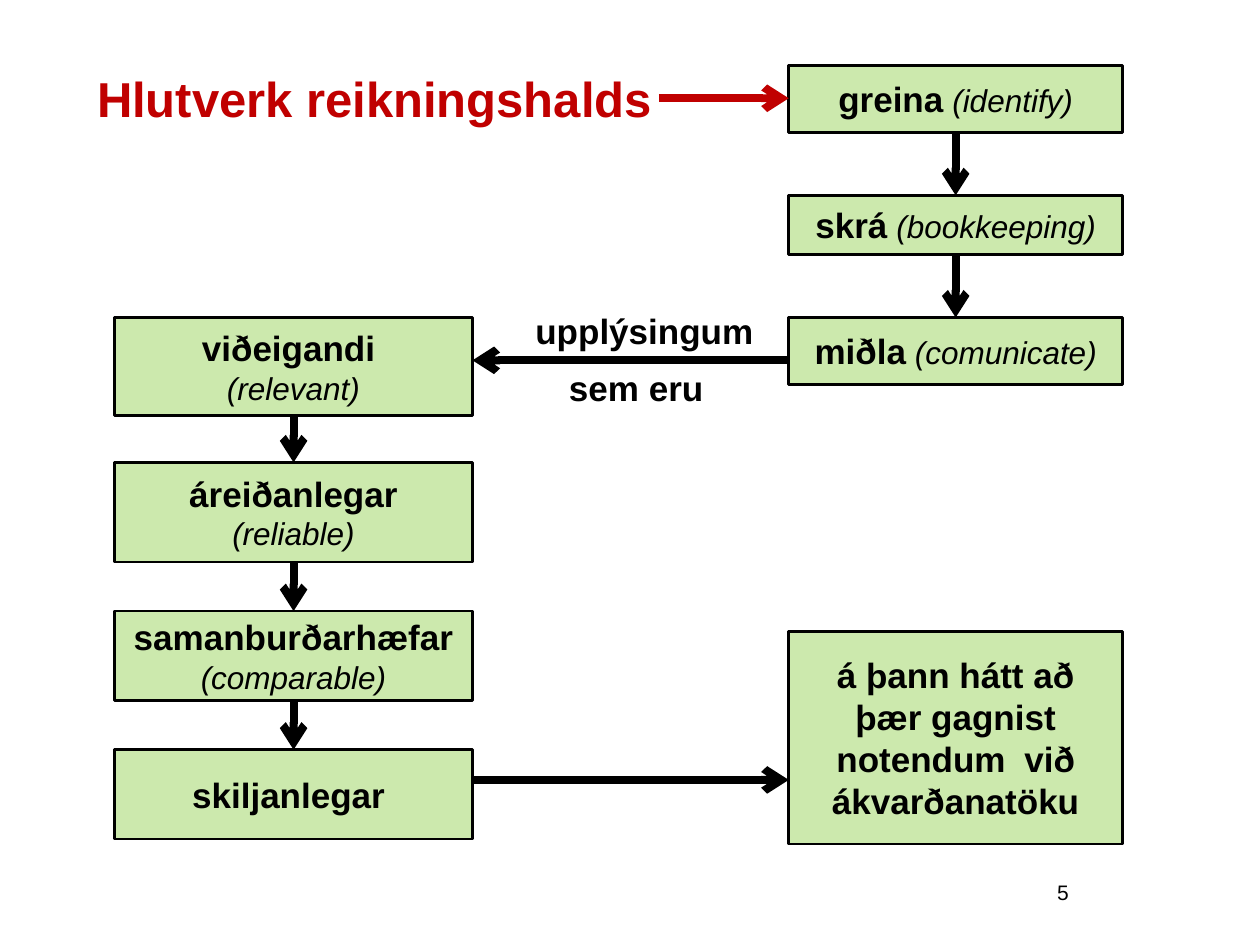
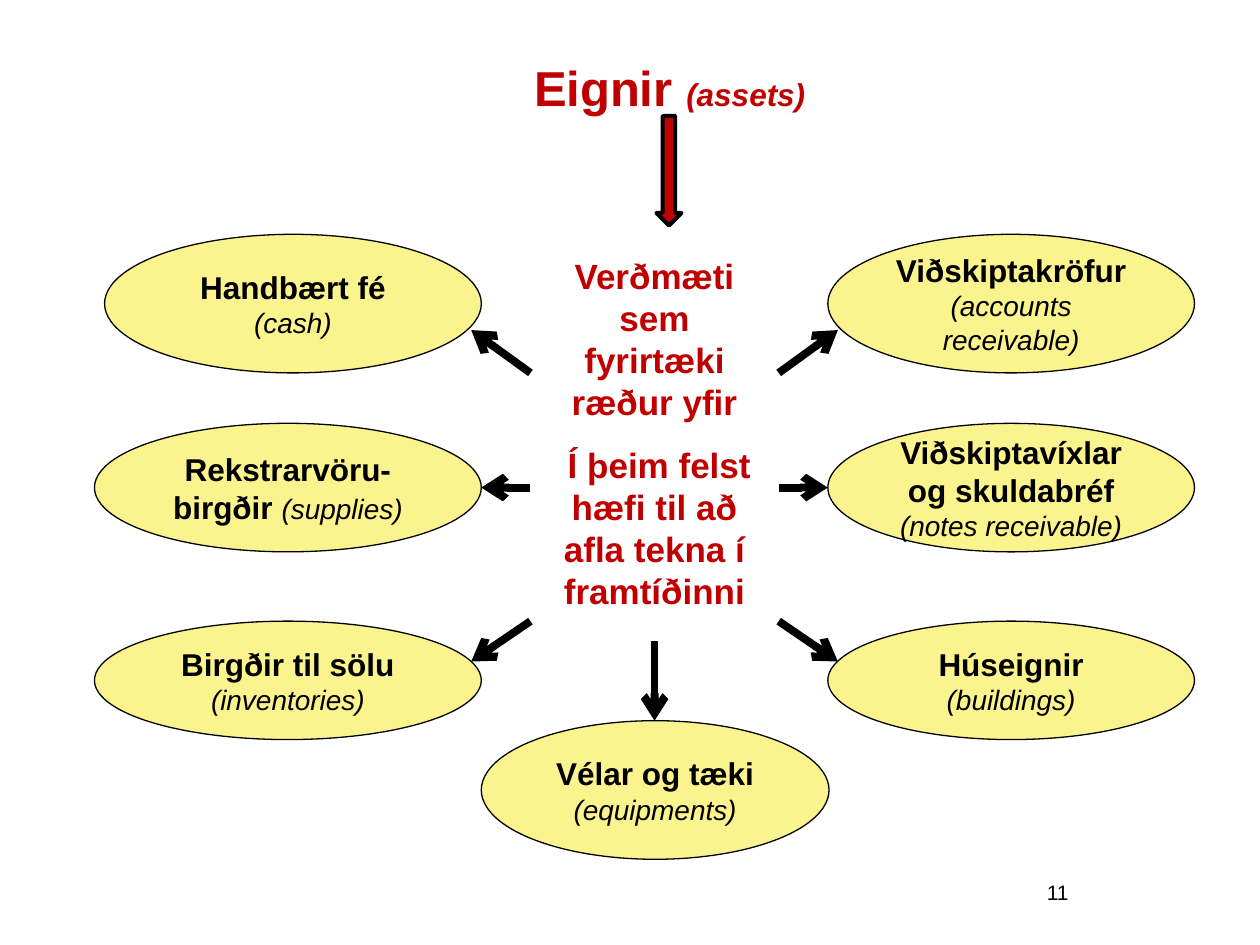
from lxml.etree import SubElement
from pptx import Presentation
from pptx.dml.color import RGBColor
from pptx.enum.shapes import MSO_CONNECTOR, MSO_SHAPE
from pptx.enum.text import MSO_ANCHOR, MSO_AUTO_SIZE, PP_ALIGN
from pptx.oxml.ns import qn
from pptx.util import Inches, Pt

BLACK = RGBColor(0x00, 0x00, 0x00)
RED = RGBColor(0xC0, 0x00, 0x00)
GREEN = RGBColor(0xCC, 0xE9, 0xAD)
YELLOW = RGBColor(0xFB, 0xF3, 0x8D)
FONT = "Arial"

# Every run is (text, size, style); style holds "b" for bold and "i" for italic.
ROLE_TITLE = [("Hlutverk reikningshalds ", 28, "b")]
ASSETS_TITLE = [("Eignir ", 28, "b"), ("(assets)", 18, "bi")]

# Each step is (top, height, paragraphs).
TASK_LEFT, TASK_WIDTH = 6.26, 2.65
TASKS = [
    (0.52, 0.53, [[("greina", 20, "b"), (" ", 18, ""), ("(identify)", 18, "i")]]),
    (1.55, 0.47, [[("skrá", 20, "b"), (" ", 18, ""), ("(bookkeeping)", 18, "i")]]),
    (2.52, 0.53, [[("miðla", 20, "b"), (" ", 18, ""), ("(comunicate)", 18, "i")]]),
]
QUALITY_LEFT, QUALITY_WIDTH = 0.91, 2.84
QUALITIES = [
    (2.52, 0.78, [[("viðeigandi ", 20, "b")], [("(relevant)", 18, "i")]]),
    (3.67, 0.79, [[("áreiðanlegar ", 20, "b"), ("(reliable)", 18, "i")]]),
    (4.85, 0.71, [[("samanburðarhæfar ", 20, "b"), ("(comparable)", 18, "i")]]),
    (5.95, 0.71, [[("skiljanlegar ", 20, "b")]]),
]
PURPOSE = (5.01, 1.69, [[("á þann hátt að þær gagnist notendum ", 20, "b"),
                         (" ", 18, "i"), ("við ákvarðanatöku", 20, "b")]])
LINK_WORDS = [("upplýsingum", (4.13, 2.41, 1.97, 0.44)),
              ("sem eru", (4.13, 2.86, 1.84, 0.44))]
TITLE_ARROW_Y, LINK_Y, PURPOSE_ARROW_Y = 0.78, 2.86, 6.19

DEFINITION_BOX = (4.21, 1.78, 1.97, 3.31)
DEFINITION = [[("Verðmæti sem fyrirtæki ræður yfir", 20, "b")],
              [(" Í þeim felst hæfi til að afla tekna í framtíðinni", 20, "b")]]
ASSETS = [
    ((6.57, 1.86, 2.91, 1.1), "Viðskiptakröfur ", "(accounts receivable)"),
    ((0.83, 1.86, 2.99, 1.1), "Handbært fé ", "(cash)"),
    ((0.75, 3.36, 3.07, 1.02), "Rekstrarvöru-birgðir ", "(supplies)"),
    ((6.57, 3.36, 2.91, 1.02), "Viðskiptavíxlar og skuldabréf ", "(notes receivable)"),
    ((3.82, 5.72, 2.76, 1.1), "Vélar og tæki ", "(equipments)"),
    ((6.57, 4.93, 2.91, 0.94), "Húseignir ", "(buildings)"),
    ((0.75, 4.93, 3.07, 0.94), "Birgðir til sölu ", "(inventories)"),
]
# Side arrows: (start y, reach outwards, end y), drawn on both sides.
SIDE_ARROWS = [(2.96, 0.47, 2.62), (3.87, 0.39, 3.87), (4.93, 0.47, 5.25)]


def write(frame, paragraphs, color=BLACK, align=PP_ALIGN.CENTER,
          anchor=MSO_ANCHOR.MIDDLE, gap=0):
    """Fill a text frame run by run, with a gap in points between paragraphs."""
    frame.word_wrap = True
    frame.auto_size = MSO_AUTO_SIZE.NONE
    frame.vertical_anchor = anchor
    for index, runs in enumerate(paragraphs):
        paragraph = frame.add_paragraph() if index else frame.paragraphs[0]
        paragraph.alignment = align
        paragraph.space_before = Pt(gap if index else 0)
        for text, size, style in runs:
            run = paragraph.add_run()
            run.text = text
            run.font.name, run.font.size = FONT, Pt(size)
            run.font.bold, run.font.italic = "b" in style, "i" in style
            run.font.color.rgb = color


def add_text(slide, box, paragraphs, **style):
    """Add a text box."""
    label = slide.shapes.add_textbox(*map(Inches, box))
    write(label.text_frame, paragraphs, **style)


def add_figure(slide, preset, box, fill=None, line_width=0, paragraphs=(), **style):
    """Add a flat preset shape, outlined in black when it is filled."""
    figure = slide.shapes.add_shape(preset, *map(Inches, box))
    figure.shadow.inherit = False
    if fill is None:
        figure.fill.background()
        figure.line.fill.background()
    else:
        figure.fill.solid()
        figure.fill.fore_color.rgb = fill
        figure.line.color.rgb = BLACK
        figure.line.width = Pt(line_width)
    write(figure.text_frame, paragraphs, **style)


def add_arrow(slide, start, end, color=BLACK):
    """Draw a thick straight arrow from start to end."""
    arrow = slide.shapes.add_connector(
        MSO_CONNECTOR.STRAIGHT, *map(Inches, (*start, *end)))
    arrow.line.color.rgb = color
    arrow.line.width = Pt(4.5)
    properties = arrow._element.spPr
    SubElement(properties.find(qn("a:ln")), qn("a:tailEnd"), type="arrow")
    SubElement(properties, qn("a:effectLst"))


def add_slide(deck, title_runs, title_box, align, number):
    """Add a slide with its red title and page number."""
    slide = deck.slides.add_slide(deck.slide_layouts[5])
    title = slide.shapes.title
    title.left, title.top, title.width, title.height = map(Inches, title_box)
    title.text_frame.margin_top = Inches(0.1)
    write(title.text_frame, [title_runs], RED, align, MSO_ANCHOR.TOP)
    add_text(slide, (6.5, 6.83, 2.08, 0.5), [[(number, 12, "")]],
             align=PP_ALIGN.RIGHT)
    return slide


def add_column(slide, left, width, steps):
    """Stack green boxes and join each to the next with an arrow."""
    center = left + width / 2
    for top, height, paragraphs in steps:
        add_figure(slide, MSO_SHAPE.RECTANGLE, (left, top, width, height),
                   GREEN, 1.5, paragraphs)
    for (top, height, _), (next_top, _, _) in zip(steps, steps[1:]):
        add_arrow(slide, (center, top + height), (center, next_top))


def build_role(deck):
    """Build the flow chart of what accounting is for."""
    slide = add_slide(deck, ROLE_TITLE, (0.67, 0.44, 5.12, 0.71), PP_ALIGN.LEFT, "5")
    add_column(slide, TASK_LEFT, TASK_WIDTH, TASKS)
    add_column(slide, QUALITY_LEFT, QUALITY_WIDTH, QUALITIES)
    add_column(slide, TASK_LEFT, TASK_WIDTH, [PURPOSE])
    quality_right = QUALITY_LEFT + QUALITY_WIDTH
    add_arrow(slide, (5.23, TITLE_ARROW_Y), (TASK_LEFT, TITLE_ARROW_Y), RED)
    add_arrow(slide, (TASK_LEFT, LINK_Y), (quality_right, LINK_Y))
    add_arrow(slide, (quality_right, PURPOSE_ARROW_Y), (TASK_LEFT, PURPOSE_ARROW_Y))
    for words, box in LINK_WORDS:
        add_text(slide, box, [[(words, 20, "b")]], anchor=MSO_ANCHOR.TOP)


def build_assets(deck):
    """Build the definition of assets with its ring of examples."""
    slide = add_slide(deck, ASSETS_TITLE, (3.66, 0.36, 3.31, 0.55),
                      PP_ALIGN.CENTER, "11")
    add_figure(slide, MSO_SHAPE.ROUNDED_RECTANGLE, DEFINITION_BOX,
               paragraphs=DEFINITION, color=RED, gap=12)
    for box, name, english in ASSETS:
        add_figure(slide, MSO_SHAPE.OVAL, box, YELLOW, 0.75,
                   [[(name, 18, "b"), (english, 16, "i")]])
    left, top, width, height = DEFINITION_BOX
    for start_y, reach, end_y in SIDE_ARROWS:
        for edge, direction in ((left, -1), (left + width, 1)):
            add_arrow(slide, (edge, start_y), (edge + direction * reach, end_y))
    center = left + width / 2
    add_arrow(slide, (center, top + height), (center, 5.72))
    add_figure(slide, MSO_SHAPE.DOWN_ARROW, (5.21, 0.92, 0.2, 0.87), RED, 2.25)


deck = Presentation()
deck.slide_width, deck.slide_height = Inches(10), Inches(7.5)
build_role(deck)
build_assets(deck)
deck.save("out.pptx")
